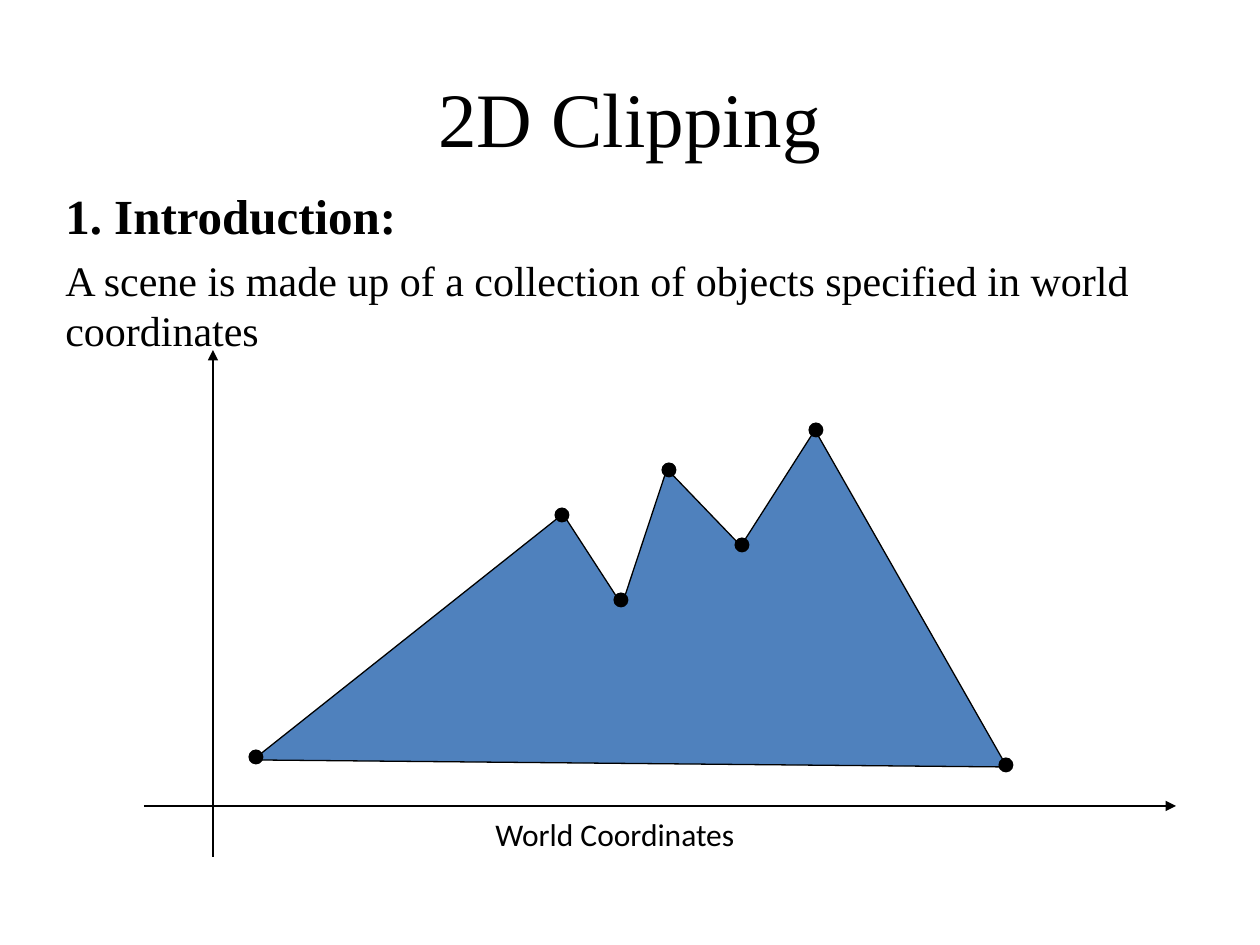
"""Build the 2D Clipping slide: a polygon in world coordinates with marked vertices."""
from lxml import etree
from pptx import Presentation
from pptx import util as u
from pptx.dml.color import RGBColor
from pptx.enum import shapes, text
from pptx.oxml import ns

PX = 914400 / 126
BLACK, BLUE = "000000", "4F81BD"


def px(*lengths):
    return [u.Emu(round(length * PX)) for length in lengths]


def color(value):
    return RGBColor.from_string(value)


deck = Presentation()
deck.slide_width, deck.slide_height = px(1260, 945)
page = deck.slides.add_slide(deck.slide_layouts[6])

serif = "Times New Roman"
title = [("2D Clipping", {"name": serif, "size": u.Pt(44)}, 0)]
body = [
    ("1. Introduction:", {"name": serif, "size": u.Pt(28), "bold": True}, 3),
    ("A scene is made up of a collection of objects specified in world coordinates",
     {"name": serif, "size": u.Pt(24)}, 6),
]
caption = [("World Coordinates", {"name": "Calibri", "size": u.Pt(18)}, 0)]
left, center = text.PP_ALIGN.LEFT, text.PP_ALIGN.CENTER
top, middle = text.MSO_ANCHOR.TOP, text.MSO_ANCHOR.MIDDLE

for place, paras, align, anchor, wrap in [
    ((63, 38, 1134, 158), title, center, middle, True),
    ((53, 179, 1134, 189), body, left, top, True),
    ((483, 809, 286, 50), caption, left, top, False),
]:
    frame = page.shapes.add_textbox(*px(*place)).text_frame
    frame.word_wrap, frame.vertical_anchor = wrap, anchor
    for index, (words, formats, space) in enumerate(paras):
        para = frame.add_paragraph() if index else frame.paragraphs[0]
        para.alignment, para.space_before = align, u.Pt(space)
        span = para.add_run()
        span.text = words
        span.font.color.rgb = color(BLACK)
        for name, value in formats.items():
            setattr(span.font, name, value)

outline = [(253, 760), (563, 514), (622, 605), (667, 469), (741, 546), (815, 430), (1007, 767)]
builder = page.shapes.build_freeform(*outline[0], scale=PX)
builder.add_line_segments(outline[1:], close=True)
polygon = builder.convert_to_shape()
polygon.shadow.inherit = False
polygon.fill.solid()
polygon.fill.fore_color.rgb = color(BLUE)
polygon.line.color.rgb = color(BLACK)
polygon.line.width = u.Pt(0.75)

for ends in [(144, 806, 1176, 806), (213, 857, 213, 350)]:
    axis = page.shapes.add_connector(shapes.MSO_CONNECTOR.STRAIGHT, *px(*ends))
    axis.line.color.rgb = color(BLACK)
    axis.line.width = u.Pt(0.75)
    etree.SubElement(axis.line._get_or_add_ln(), ns.qn("a:tailEnd"), type="triangle")
    etree.SubElement(axis._element.spPr, ns.qn("a:effectLst"))

dot = 15
vertices = [(562, 515), (256, 757), (621, 600), (669, 470), (742, 545), (816, 430), (1006, 765)]
for x, y in vertices:
    place = px(x - dot / 2, y - dot / 2, dot, dot)
    vertex = page.shapes.add_shape(shapes.MSO_SHAPE.OVAL, *place)
    vertex.shadow.inherit = False
    vertex.fill.solid()
    vertex.fill.fore_color.rgb = color(BLACK)
    vertex.line.fill.background()

deck.save("out.pptx")
